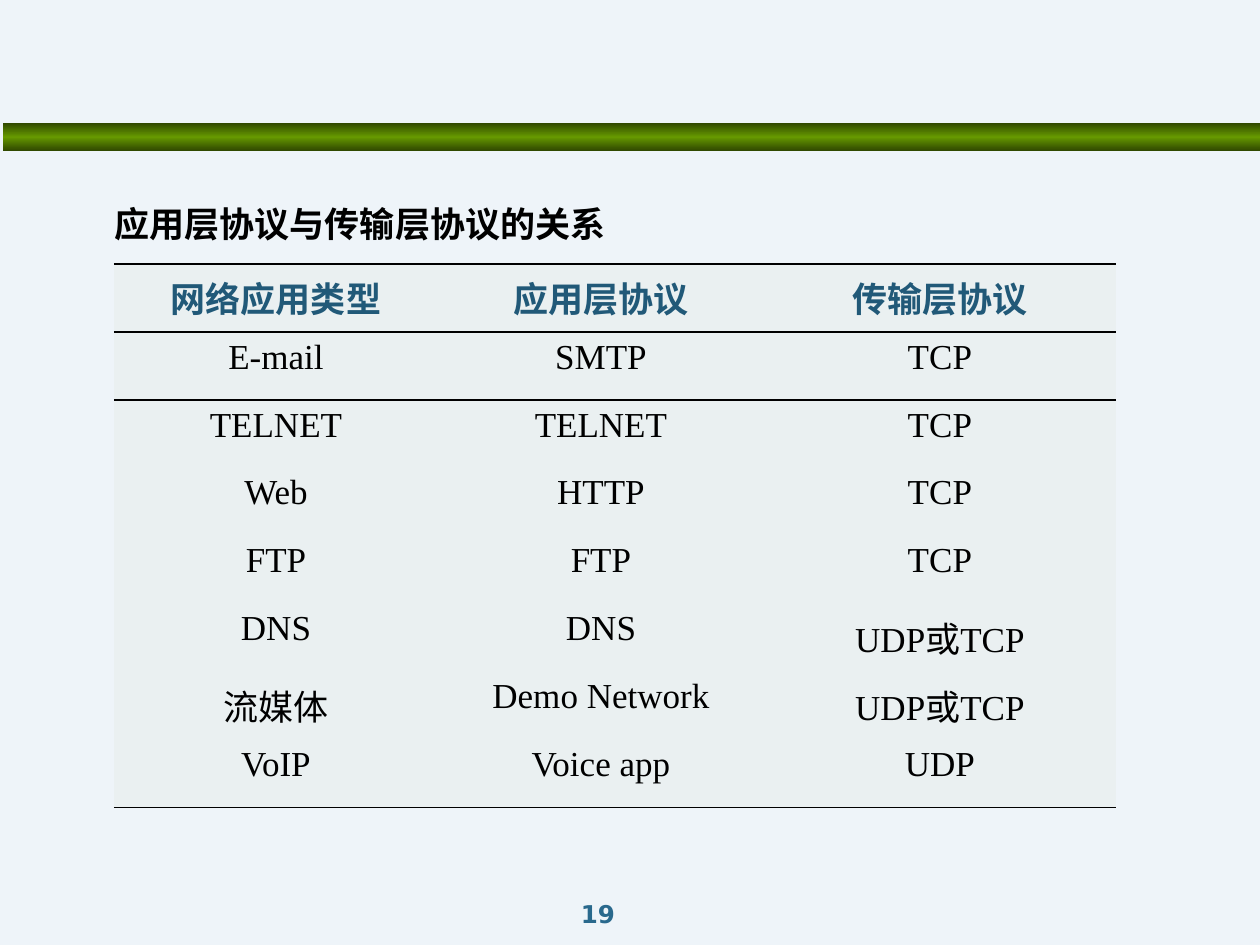
import copy
import dataclasses

import lxml.etree
import pptx
import pptx.dml.color
import pptx.enum.shapes
import pptx.enum.text
import pptx.oxml.ns
import pptx.util

RGBColor = pptx.dml.color.RGBColor
Alignment = pptx.enum.text.PP_ALIGN

PIXELS_PER_INCH = 126
BACKGROUND = RGBColor(0xEE, 0xF4, 0xF9)
DARK_GREEN = RGBColor(0x2F, 0x47, 0x00)
GREEN = RGBColor(0x66, 0x99, 0x00)
BLACK = RGBColor(0x00, 0x00, 0x00)
HEADER_BLUE = RGBColor(0x21, 0x59, 0x78)
NUMBER_BLUE = RGBColor(0x29, 0x69, 0x8D)
CELL_FILL = RGBColor(0xEA, 0xF0, 0xF1)

SANS = "DejaVu Sans"
SERIF = "Times New Roman"
PLAIN_TABLE_STYLE = "{2D5ABB26-0587-4C30-8999-92F81FD0307C}"

COLUMN_WIDTHS = (324, 326, 352)
ROW_HEIGHT = 68
PROTOCOL_ROWS = (
    ("网络应用类型", "应用层协议", "传输层协议"),
    ("E-mail", "SMTP", "TCP"),
    ("TELNET", "TELNET", "TCP"),
    ("Web", "HTTP", "TCP"),
    ("FTP", "FTP", "TCP"),
    ("DNS", "DNS", "UDP或TCP"),
    ("流媒体", "Demo Network", "UDP或TCP"),
    ("VoIP", "Voice app", "UDP"),
)


@dataclasses.dataclass(frozen=True)
class Box:
    left: int
    top: int
    width: int
    height: int

    def emu(self) -> tuple:
        return tuple(px(value) for value in dataclasses.astuple(self))


def px(value: int) -> int:
    return pptx.util.Emu(round(value * 914400 / PIXELS_PER_INCH))


def write_text(frame, text: str, *, font: str, size: int, color: RGBColor,
               bold: bool = False, align=Alignment.LEFT, spacing: float = 1.0):
    """Put one formatted paragraph into a text frame and return it."""
    frame.word_wrap = True
    paragraph = frame.paragraphs[0]
    paragraph.alignment = align
    paragraph.line_spacing = spacing
    run = paragraph.add_run()
    run.text = text
    run.font.name = font
    run.font.size = pptx.util.Pt(size)
    run.font.bold = bold
    run.font.color.rgb = color
    return paragraph


def add_bar(slide, box: Box) -> None:
    bar = slide.shapes.add_shape(pptx.enum.shapes.MSO_SHAPE.RECTANGLE, *box.emu())
    bar.shadow.inherit = False
    bar.line.fill.background()
    bar.fill.gradient()
    bar.fill.gradient_angle = 90
    stop_list = bar.element.xpath(".//a:gsLst")[0]
    stop_list.insert(1, copy.deepcopy(stop_list[0]))
    colors = (DARK_GREEN, GREEN, DARK_GREEN)
    for index, (stop, color) in enumerate(zip(bar.fill.gradient_stops, colors)):
        stop.position = index / 2
        stop.color.rgb = color


def add_heading(slide, text: str, box: Box) -> None:
    body = slide.placeholders[1]
    body.left, body.top, body.width, body.height = box.emu()
    paragraph = write_text(body.text_frame, text, font=SANS, size=20,
                           color=BLACK, bold=True, spacing=1.5)
    paragraph.space_before = pptx.util.Pt(4)
    properties = paragraph._p.get_or_add_pPr()
    properties.set("marL", str(px(48)))
    properties.set("indent", str(-px(48)))
    lxml.etree.SubElement(properties, pptx.oxml.ns.qn("a:buNone"))


def add_border(cell, side: str) -> None:
    """Draw a 1 pt black rule on one side, "lnT" or "lnB"."""
    line = lxml.etree.Element(pptx.oxml.ns.qn(f"a:{side}"), w=str(pptx.util.Pt(1)))
    fill = lxml.etree.SubElement(line, pptx.oxml.ns.qn("a:solidFill"))
    lxml.etree.SubElement(fill, pptx.oxml.ns.qn("a:srgbClr"), val=str(BLACK))
    cell._tc.get_or_add_tcPr().insert(0, line)


def add_protocol_table(slide, left: int, top: int) -> None:
    row_count = len(PROTOCOL_ROWS)
    box = Box(left, top, sum(COLUMN_WIDTHS), ROW_HEIGHT * row_count)
    frame = slide.shapes.add_table(row_count, len(COLUMN_WIDTHS), *box.emu())
    table = frame.table
    table.horz_banding = False
    frame.element.xpath(".//a:tableStyleId")[0].text = PLAIN_TABLE_STYLE
    for column, width in zip(table.columns, COLUMN_WIDTHS):
        column.width = px(width)

    for row_index, values in enumerate(PROTOCOL_ROWS):
        is_header = row_index == 0
        table.rows[row_index].height = px(ROW_HEIGHT)
        for column_index, value in enumerate(values):
            cell = table.cell(row_index, column_index)
            cell.margin_left = cell.margin_right = px(9)
            cell.margin_top = cell.margin_bottom = 0
            cell.fill.solid()
            cell.fill.fore_color.rgb = CELL_FILL
            write_text(cell.text_frame, value, font=SERIF, size=20,
                       color=HEADER_BLUE if is_header else BLACK,
                       bold=is_header, align=Alignment.CENTER, spacing=1.15)
            # The bottom rule goes in first, so that the top one precedes it
            if row_index in (0, row_count - 1):
                add_border(cell, "lnB")
            if row_index in (0, 1):
                add_border(cell, "lnT")


def add_slide_number(slide, text: str, box: Box) -> None:
    number = slide.shapes.add_textbox(*box.emu())
    write_text(number.text_frame, text, font=SANS, size=14, color=NUMBER_BLUE,
               bold=True, align=Alignment.CENTER)


def main() -> None:
    presentation = pptx.Presentation()
    presentation.slide_width = px(1260)
    presentation.slide_height = px(945)
    slide = presentation.slides.add_slide(presentation.slide_layouts[1])
    slide.background.fill.solid()
    slide.background.fill.fore_color.rgb = BACKGROUND

    # The slide has no title
    title = slide.shapes.title.element
    title.getparent().remove(title)

    # Green bar, heading, table and slide number
    add_bar(slide, Box(3, 123, 1257, 28))
    add_heading(slide, "应用层协议与传输层协议的关系", Box(102, 175, 1158, 79))
    add_protocol_table(slide, 114, 264)
    add_slide_number(slide, "19", Box(451, 893, 294, 40))

    presentation.save("out.pptx")


if __name__ == "__main__":
    main()
